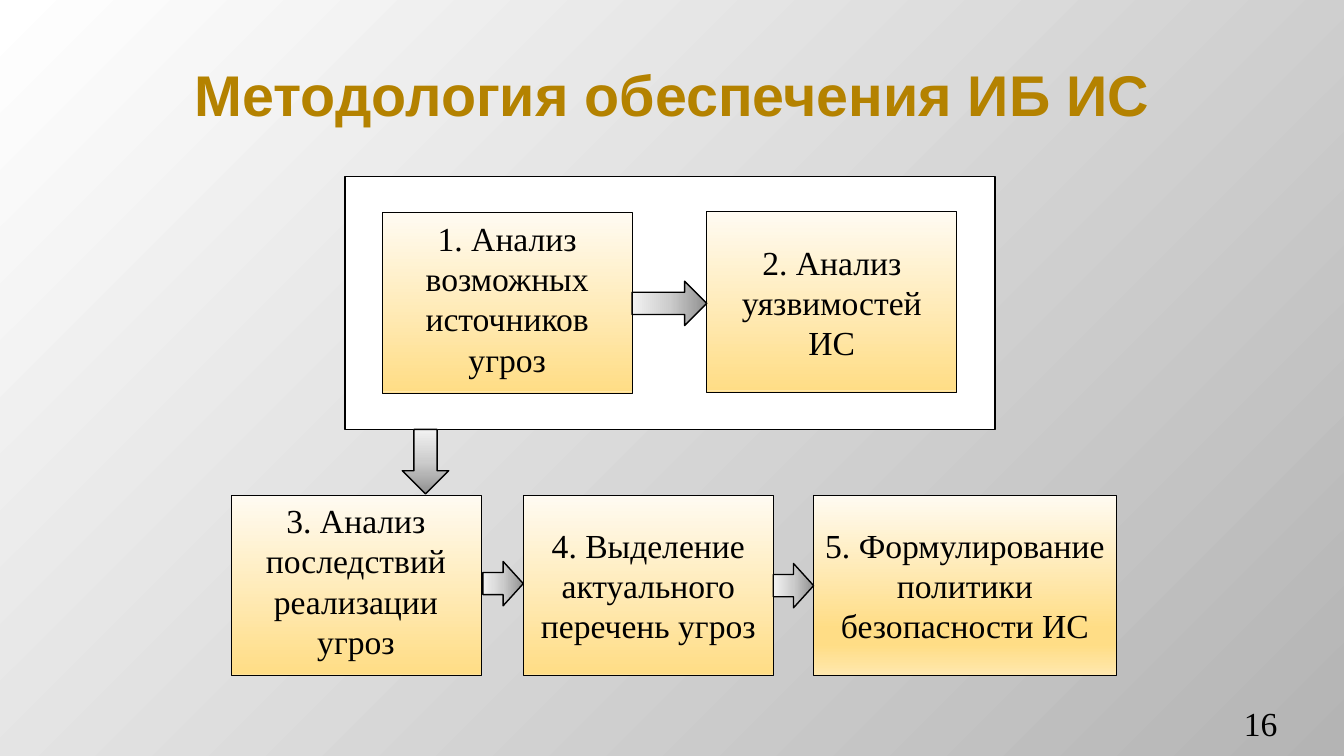
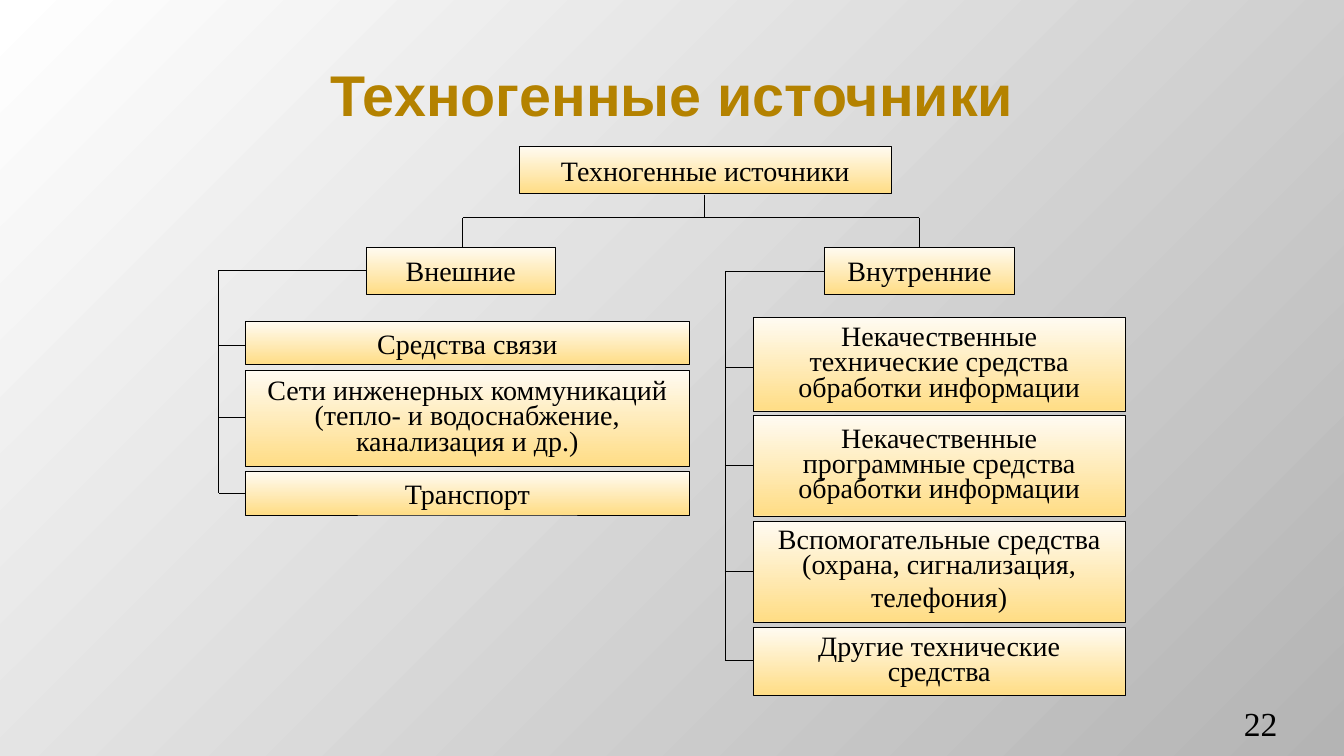
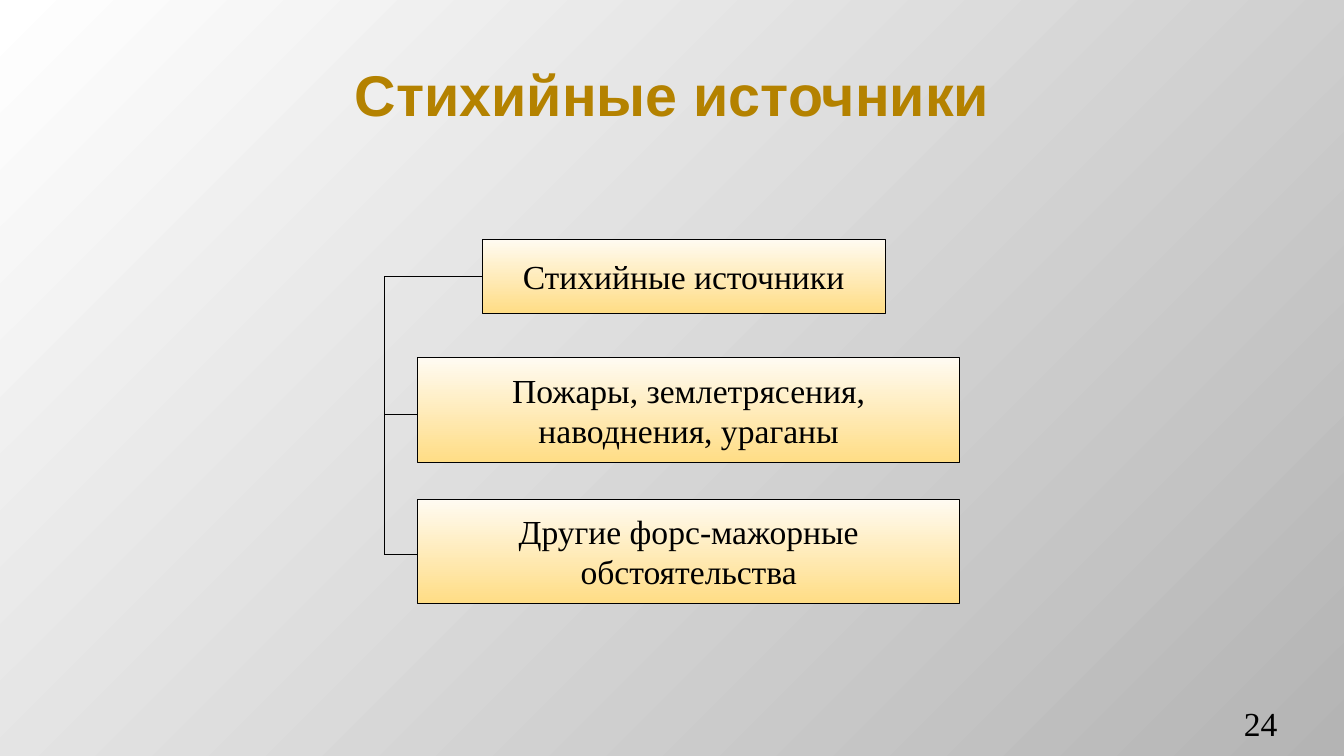
from lxml.etree import SubElement
from pptx import Presentation
from pptx.dml.color import RGBColor
from pptx.enum.shapes import MSO_CONNECTOR, MSO_SHAPE
from pptx.enum.text import MSO_ANCHOR, MSO_AUTO_SIZE, PP_ALIGN
from pptx.oxml.ns import qn
from pptx.util import Inches, Pt

BLACK, WHITE, GOLD = "000000", "FFFFFF", "B48200"
SERIF, SANS = "Times New Roman", "Arial"
BACKGROUND = [(0, WHITE), (100, "B4B4B4")]
CREAM = [(0, "FFFBF2"), (99, "FFDD86"), (99, "FFE8AE"), (100, "FFDD86")]
CREAM_LIGHT_EDGE = [(0, "FFFBF2"), (74, "FFDD86"), (83, "FFDD86"), (100, "FFE8AE")]
GREY = [(0, "909090"), (50, "CCCCCC"), (100, "F2F2F2")]


def color(value):
    return RGBColor.from_string(value)


def inches(*values):
    return [Inches(value) for value in values]


def set_gradient(fill, element, stops, angle=None):
    fill.gradient()
    gradient = element.find(".//" + qn("a:gradFill"))
    for child in list(gradient):
        gradient.remove(child)
    stop_list = SubElement(gradient, qn("a:gsLst"))
    for position, value in stops:
        stop = SubElement(stop_list, qn("a:gs"), pos=str(position * 1000))
        SubElement(stop, qn("a:srgbClr"), val=value)
    if angle is None:
        circle = SubElement(gradient, qn("a:path"), path="circle")
        SubElement(circle, qn("a:fillToRect"), r="100000", b="100000")
    else:
        SubElement(gradient, qn("a:lin"), ang=str(angle * 60000), scaled="0")


def set_text(shape, lines, size=24, font=SERIF, fill=BLACK, bold=False,
             align=PP_ALIGN.CENTER, anchor=MSO_ANCHOR.MIDDLE, spacings=None,
             indents=None, side_inset=0.1):
    frame = shape.text_frame
    frame.word_wrap = True
    frame.auto_size = MSO_AUTO_SIZE.NONE
    frame.vertical_anchor = anchor
    frame.margin_left = frame.margin_right = Inches(side_inset)
    frame.text = "\n".join(lines)
    for index, paragraph in enumerate(frame.paragraphs):
        paragraph.alignment = align
        if spacings:
            paragraph.line_spacing = spacings[index]
        if indents:
            paragraph._p.get_or_add_pPr().set("indent", str(Inches(indents[index])))
        paragraph.font.size = Pt(size)
        paragraph.font.bold = bold
        for run in paragraph.runs:
            run.font.name = font
            run.font.color.rgb = color(fill)


def add_preset(slide, kind, place, line_width):
    shape = slide.shapes.add_shape(kind, *inches(*place))
    shape.shadow.inherit = False
    shape.line.color.rgb = color(BLACK)
    shape.line.width = Pt(line_width)
    return shape


def add_box(slide, place, *lines, stops=CREAM, **text_format):
    box = add_preset(slide, MSO_SHAPE.RECTANGLE, place, 0.5)
    set_gradient(box.fill, box._element, stops, 90)
    set_text(box, lines, **text_format)


def add_frame(slide, place):
    frame = add_preset(slide, MSO_SHAPE.RECTANGLE, place, 1)
    frame.fill.solid()
    frame.fill.fore_color.rgb = color(WHITE)


def add_arrow(slide, place, rotation=0):
    arrow = add_preset(slide, MSO_SHAPE.RIGHT_ARROW, place, 1)
    set_gradient(arrow.fill, arrow._element, GREY, 180)
    arrow.rotation = rotation


def add_line(slide, *ends):
    line = slide.shapes.add_connector(MSO_CONNECTOR.STRAIGHT, *inches(*ends))
    line.line.color.rgb = color(BLACK)
    line.line.width = Pt(0.5)
    SubElement(line._element.spPr, qn("a:effectLst"))


def add_bracket(slide, spine, parent_left, parent_y, child_left, child_ys):
    add_line(slide, parent_left, parent_y, spine, parent_y)
    add_line(slide, spine, parent_y, spine, child_ys[-1])
    for y in child_ys:
        add_line(slide, spine, y, child_left, y)


def add_slide(presentation, title, number):
    slide = presentation.slides.add_slide(presentation.slide_layouts[5])
    heading = slide.shapes.title
    heading.left, heading.top, heading.width, heading.height = inches(0.67, 0.3, 12, 1.25)
    set_text(heading, [title], size=41, font=SANS, fill=GOLD, bold=True)
    page = slide.shapes.add_textbox(*inches(11.56, 7.02, 1.11, 0.4))
    set_text(page, [str(number)], align=PP_ALIGN.RIGHT, anchor=MSO_ANCHOR.BOTTOM,
             side_inset=0)
    return slide


def add_methodology(presentation):
    slide = add_slide(presentation, "Методология обеспечения ИБ ИС", 16)
    width, height, lower_top = 2.48, 1.79, 4.91
    add_frame(slide, (3.42, 1.75, 6.45, 2.51))
    add_box(slide, (3.79, 2.11, width, height),
            "1. Анализ возможных источников угроз", anchor=MSO_ANCHOR.TOP)
    add_box(slide, (7.01, 2.1, width, height), "2. Анализ уязвимостей ИС")
    add_box(slide, (2.29, lower_top, width, height),
            "3. Анализ последствий реализации угроз", anchor=MSO_ANCHOR.TOP)
    add_box(slide, (5.19, lower_top, width, height),
            "4. Выделение актуального перечень угроз")
    add_box(slide, (8.07, lower_top, 3, height),
            "5. Формулирование политики безопасности ИС", stops=CREAM_LIGHT_EDGE)
    add_arrow(slide, (6.27, 2.79, 0.74, 0.44))
    add_arrow(slide, (3.9, 4.35, 0.64, 0.46), rotation=90)
    add_arrow(slide, (4.79, 5.57, 0.4, 0.44))
    add_arrow(slide, (7.67, 5.59, 0.4, 0.44))


def add_technogenic_sources(presentation):
    slide = add_slide(presentation, "Техногенные источники", 22)
    add_box(slide, (5.15, 1.45, 3.69, 0.47), "Техногенные источники", size=20)
    add_line(slide, 6.99, 1.93, 6.99, 2.16)
    add_line(slide, 4.59, 2.16, 9.12, 2.16)
    for left, center, label in ((3.63, 4.59, "Внешние"), (8.18, 9.12, "Внутренние")):
        add_line(slide, center, 2.16, center, 2.45)
        add_box(slide, (left, 2.45, 1.88, 0.47), label, size=20)

    external = [
        (3.19, 0.43, ["Средства связи"], [1]),
        (3.67, 0.96, ["Сети инженерных коммуникаций (тепло- и водоснабжение, "
                      "канализация и др.)"], [0.75]),
        (4.68, 0.43, ["Транспорт"], [1]),
    ]
    for top, height, lines, spacings in external:
        add_box(slide, (2.43, top, 4.41, height), *lines, size=20, spacings=spacings)
    add_bracket(slide, 2.17, 3.63, 2.68, 2.43, (3.43, 4.14, 4.89))

    internal = [
        (3.15, 0.93, ["Некачественные", "технические средства", "обработки информации"],
         [0.75] * 3, [-0.29, 0, -0.08]),
        (4.12, 1, ["Некачественные", "программные средства", "обработки информации"],
         [0.75] * 3, [-0.77, -0.29, 0]),
        (5.17, 1, ["Вспомогательные средства", "(охрана, сигнализация,", "телефония)"],
         [0.75, 0.75, 1], [0, -0.08, 0]),
        (6.22, 0.68, ["Другие технические", "средства"], [0.75] * 2, [0, 0]),
    ]
    for top, height, lines, spacings, indents in internal:
        add_box(slide, (7.47, top, 3.69, height), *lines, size=20,
                spacings=spacings, indents=indents)
    add_bracket(slide, 7.19, 8.18, 2.69, 7.47, (3.64, 4.62, 5.67, 6.55))


def add_natural_sources(presentation):
    slide = add_slide(presentation, "Стихийные источники", 24)
    add_box(slide, (4.78, 2.37, 4, 0.74), "Стихийные источники")
    add_box(slide, (4.14, 3.55, 5.38, 1.04),
            "Пожары, землетрясения,", "наводнения, ураганы")
    add_box(slide, (4.14, 4.95, 5.38, 1.04),
            "Другие форс-мажорные", "обстоятельства")
    add_bracket(slide, 3.81, 4.78, 2.74, 4.14, (4.11, 5.5))


def main():
    presentation = Presentation()
    presentation.slide_width, presentation.slide_height = inches(13.33, 7.5)
    master = presentation.slide_master
    set_gradient(master.background.fill, master._element, BACKGROUND)
    add_methodology(presentation)
    add_technogenic_sources(presentation)
    add_natural_sources(presentation)
    presentation.save("out.pptx")


main()
